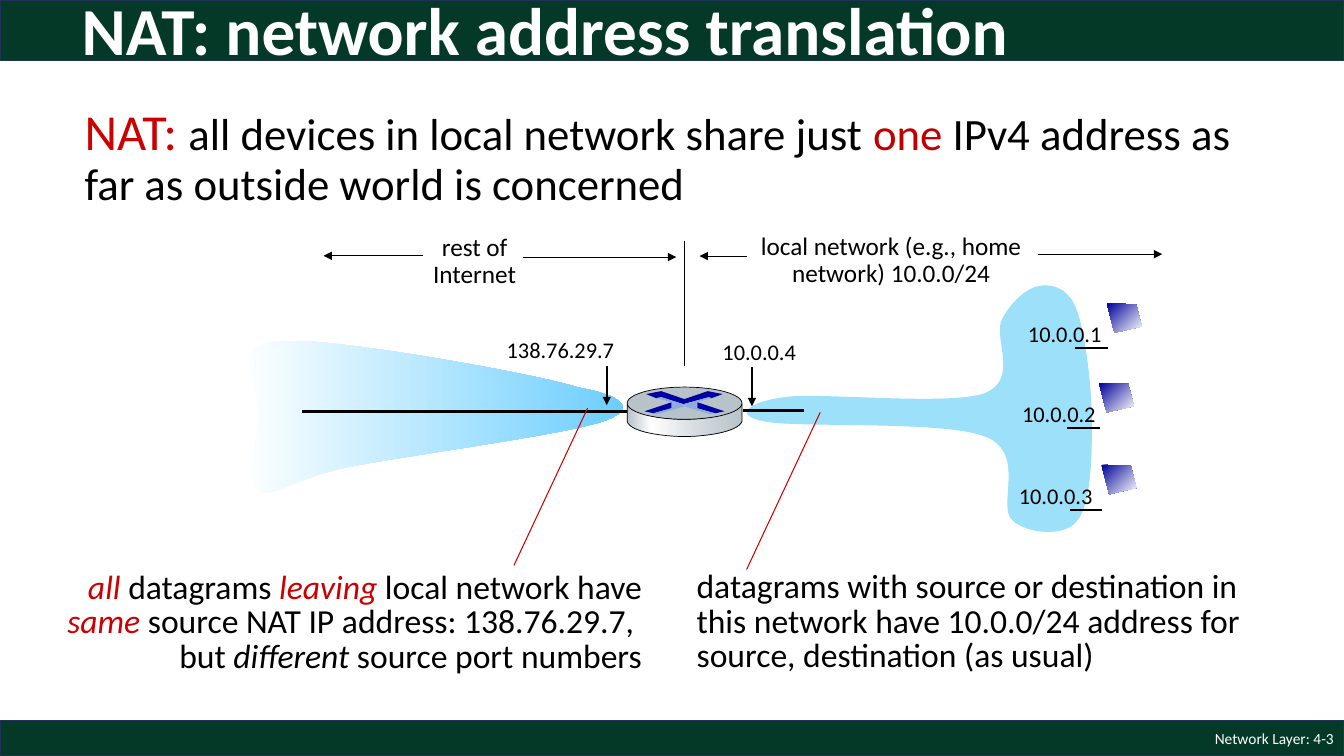
from dataclasses import dataclass

from lxml import etree
from pptx import Presentation
from pptx.dml.color import RGBColor
from pptx.enum.shapes import MSO_CONNECTOR, MSO_SHAPE
from pptx.enum.text import MSO_ANCHOR, MSO_AUTO_SIZE, PP_ALIGN
from pptx.oxml.ns import qn
from pptx.util import Pt

LEFT, CENTER, RIGHT = PP_ALIGN.LEFT, PP_ALIGN.CENTER, PP_ALIGN.RIGHT
MIDDLE, TOP = MSO_ANCHOR.MIDDLE, MSO_ANCHOR.TOP
GROW, FIXED = MSO_AUTO_SIZE.SHAPE_TO_FIT_TEXT, MSO_AUTO_SIZE.NONE
RECT, OVAL = MSO_SHAPE.RECTANGLE, MSO_SHAPE.OVAL
STRAIGHT = MSO_CONNECTOR.STRAIGHT


@dataclass(frozen=True)
class Theme:
    font: str = "Calibri"
    bar: str = "043927"
    edge: str = "1E3256"
    white: str = "FFFFFF"
    ink: str = "000000"
    red: str = "CC0000"
    dark_red: str = "C00000"
    sky: str = "9CE0FA"
    blue: str = "66CCFF"
    navy: str = "000099"
    arrow: str = "0000A3"
    pale: str = "8FAADC"
    metal: str = "B8C2C9"
    shine: str = "D6DCE0"
    title: int = 48
    lead: int = 36
    body: int = 32
    note: int = 24
    label: int = 18
    addr: int = 16
    foot: int = 11


T = Theme()

LOCAL = [(38.2, 80.7), (64, 77, 154, 87, 181, 78),
         (207, 68, 186.5, 37.5, 194, 24.5), (201, 11.5, 213, 1.5, 222, 1),
         (230.5, 0, 242, 3, 247.5, 19.5), (253.5, 36, 258, 75, 258, 100),
         (258, 125.5, 257, 157.5, 247.5, 169),
         (238.5, 181, 211.5, 178.5, 201, 168.5),
         (190, 158.5, 211.5, 120.5, 182, 109),
         (152.5, 97, 47.5, 103, 24, 98), (0, 93.5, 13.5, 84, 38.2, 80.7)]
OUTER = [(244, 38), (216.5, 29.5, 134.5, 15, 96.5, 10),
         (58, 5, 28, 1, 14.5, 8.5), (0.5, 16, 15, 39.5, 15, 57),
         (15, 74, 4, 105, 14.5, 111.5), (25, 117.5, 38, 103, 79, 94.5),
         (120, 86.5, 232.5, 71.5, 260.5, 62), (288, 52.5, 272, 43, 244, 38)]
SIDE = [(82, 12.2), (82, 24.5), (79, 32.4, 54.5, 35.3, 41, 35.3),
        (27.2, 35.3, 2, 32.4, 0, 24.5), (0, 12.2),
        (3.5, 19.4, 26.5, 23, 40.5, 23), (54, 23, 78, 20, 82, 12.2)]
VEE = [(57.5, 2.9), (68.2, 5), (60.3, 7.9), (58.2, 7.2), (40.2, 12.2),
       (24.3, 7.2), (20.7, 7.9), (13.5, 5), (24.3, 2.9), (40.9, 8.6)]
WING = [(31.9, 10.8), (31.9, 15.1), (19, 18.7), (12.4, 17.3)]
CROSS = [(20.7, 7.9), (24.3, 7.2), (40.2, 12.2), (58.2, 7.2), (60.3, 7.9),
         (49.5, 10.8), (49.5, 15.1), (62.5, 18.7), (58.9, 19.4),
         (40.9, 13.7), (21.5, 19.4), (18.6, 18.7), (31.5, 15.1), (31.5, 10.8)]
HOST = [(0, 0), (20.9, 0.7), (25, 16.5), (5.5, 21)]


def rgb(color):
    return RGBColor.from_string(color)


def place(box, x, y, w=0, h=0):
    return box[0] + x, box[1] + y, w, h


def paint(shape, fill, edge=None, width=0.5, angle=0):
    shape.shadow.inherit = False
    if isinstance(fill, str):
        shape.fill.solid()
        shape.fill.fore_color.rgb = rgb(fill)
    else:
        shape.fill.gradient()
        shape.fill.gradient_angle = angle
        stops = shape._element.spPr.find(qn("a:gradFill")).find(qn("a:gsLst"))
        stops.clear()
        for pos, color in fill:
            stop = etree.SubElement(stops, qn("a:gs"), pos=str(pos * 1000))
            etree.SubElement(stop, qn("a:srgbClr"), val=color)
    if edge:
        shape.line.color.rgb = rgb(edge)
        shape.line.width = Pt(width)
    else:
        shape.line.fill.background()


def solid(slide, kind, box, fill, edge, width):
    shape = slide.shapes.add_shape(kind, *map(Pt, box))
    paint(shape, fill, edge, width)


def bend(shape, steps):
    legs = iter(list(shape._element.iter(qn("a:lnTo"))))
    for step in steps[1:]:
        leg = next(legs)
        if len(step) == 6:
            leg.tag = qn("a:cubicBezTo")
            for _ in range(2):
                extra = next(legs)
                leg.append(extra[0])
                extra.getparent().remove(extra)


def free(slide, box, steps, fill, edge=None, angle=0):
    pts = [(Pt(box[0] + step[i]), Pt(box[1] + step[i + 1]))
           for step in steps for i in range(0, len(step), 2)]
    form = slide.shapes.build_freeform(*pts[0], scale=1.0)
    form.add_line_segments(pts[1:], close=True)
    shape = form.convert_to_shape()
    bend(shape, steps)
    paint(shape, fill, edge, angle=angle)


def line(slide, box, start, end, color=T.ink, width=0.75, tip=False):
    ends = [Pt(box[i] + pt[i]) for pt in (start, end) for i in (0, 1)]
    link = slide.shapes.add_connector(STRAIGHT, *ends)
    link.line.color.rgb = rgb(color)
    link.line.width = Pt(width)
    props = link._element.spPr
    if tip:
        etree.SubElement(props.find(qn("a:ln")), qn("a:tailEnd"), type="triangle")
    etree.SubElement(props, qn("a:effectLst"))


def text(slide, box, paras, size, color=T.ink, align=LEFT, space=None,
         wrap=True, anchor=TOP, fit=GROW, bold=None, margin=0):
    frame = slide.shapes.add_textbox(*map(Pt, box)).text_frame
    frame.word_wrap = wrap
    frame.auto_size = fit
    frame.vertical_anchor = anchor
    for i, runs in enumerate(paras):
        para = frame.add_paragraph() if i else frame.paragraphs[0]
        para.alignment = align
        para.line_spacing = space
        if margin:
            para._p.get_or_add_pPr().set("marL", str(Pt(margin)))
        para.font.name = T.font
        para.font.size = Pt(size)
        para.font.bold = bold
        para.font.color.rgb = rgb(color)
        for words, style in runs:
            run = para.add_run()
            run.text = words
            if "color" in style:
                run.font.color.rgb = rgb(style["color"])
            if "size" in style:
                run.font.size = Pt(style["size"])
            if "italic" in style:
                run.font.italic = style["italic"]


def plain(*rows):
    return [[(row, {})] for row in rows]


def bars(slide, box):
    wide, high = box[2:]
    solid(slide, RECT, place(box, 0, high - 25.2, wide, 25.2), T.bar, T.edge, 1)
    solid(slide, RECT, place(box, 0, 0, wide, 43.2), T.bar, T.edge, 1)
    text(slide, place(box, 51.3, -18, 828, 84), plain("NAT: network address translation"),
         T.title, T.white, space=0.9, anchor=MIDDLE, fit=FIXED, bold=True)
    text(slide, place(box, wide - 216, high - 25.2, 216, 25.2),
         plain("Network Layer: 4-3"), T.foot, T.white, RIGHT,
         anchor=MIDDLE, fit=FIXED)


def intro(slide, box):
    runs = [("NAT: ", {"color": T.red, "size": T.lead}),
            ("all devices in local network share just ", {}),
            ("one", {"color": T.dark_red}),
            (" IPv4 address as far as outside world is concerned", {})]
    text(slide, box, [runs], T.body, space=0.9, margin=18.7)


def host(slide, box, name, left):
    text(slide, place(box, left, 8.5, 67.7, 28.1), plain(name), T.addr, wrap=False)
    free(slide, box, HOST, [(0, T.navy), (100, T.white)], angle=315)
    line(slide, box, (-22.5, 32), (0.5, 32), width=1.5)


def home(slide, box):
    free(slide, place(box, 22, 43), LOCAL, T.sky)
    text(slide, place(box, 26, 3.4, 221, 44.6),
         plain("local network (e.g., home network) 10.0.0/24"),
         T.label, align=CENTER, space=0.9)
    line(slide, box, (241.6, 21.6), (330.2, 21.6), tip=True)
    line(slide, box, (33.5, 22.9), (-0.3, 22.9), tip=True)
    text(slide, place(box, 9, 77.8, 67.7, 28.1), plain("10.0.0.4"), T.addr, wrap=False)
    line(slide, box, (37.1, 102.1), (37.1, 130.2), width=1.5, tip=True)
    line(slide, box, (30.6, 133), (74.6, 133), width=2)
    hosts = [(290.6, 56.7, -63.4), (285, 113.6, -62), (286.8, 172, -66.1)]
    for i, (x, y, left) in enumerate(hosts, 1):
        host(slide, place(box, x, y), f"10.0.0.{i}", left)


def outside(slide, box):
    free(slide, place(box, 0, 79), OUTER, [(0, T.white), (100, T.blue)])
    text(slide, place(box, 184.8, 76.9, 92.2, 28.1), plain("138.76.29.7"),
         T.addr, wrap=False)
    line(slide, box, (263.4, 101.4), (263.4, 129.4), width=1.5, tip=True)
    line(slide, box, (203.9, 23.6), (313.1, 23.6), tip=True)
    line(slide, box, (132.4, 22.7), (61.1, 22.7), tip=True)
    text(slide, place(box, 131.6, 4.2, 74.9, 48.2), plain("rest of", "Internet"),
         T.label, align=CENTER, space=0.9, wrap=False)
    line(slide, box, (46, 133.8), (277.8, 133.8), width=2)


def router(slide, box):
    line(slide, box, (40.7, 0), (40.7, 89.2))
    body = place(box, 0, 104.5, box[2], 23)
    shades = [(0, T.metal), (21, T.white), (60, T.shine), (100, T.metal)]
    free(slide, body, SIDE, shades, T.ink)
    solid(slide, OVAL, body, T.metal, T.ink, 0.5)
    mirror = [(box[2] - x, y) for x, y in WING]
    for steps in (VEE, mirror, WING):
        free(slide, body, steps, T.arrow)
    free(slide, body, CROSS, T.pale)


def note(slide, box, runs, align, foot):
    text(slide, box, [runs], T.note, align=align, space=0.85)
    x, y = foot
    line(slide, box, foot, (x + 52.6, y - 112.3), T.red)


def main():
    deck = Presentation()
    deck.slide_width, deck.slide_height = Pt(960), Pt(540)
    slide = deck.slides.add_slide(deck.slide_layouts[6])
    bars(slide, (0, 0, 960, 540))
    home(slide, (500, 160, 340, 225))
    outside(slide, (170, 160, 314, 200))
    router(slide, (448, 172, 82, 140))
    note(slide, (490.5, 404.6, 431.3, 81.4),
         [("datagrams with source or destination in this network have "
           "10.0.0/24 address for source, destination (as usual)", {})],
         LEFT, (42.8, 2.2))
    accent = {"color": T.red, "italic": True}
    note(slide, (30, 405.1, 435.6, 81.4),
         [("all ", accent), ("datagrams ", {}), ("leaving", accent),
          (" local network have ", {}), ("same", accent),
          (" source NAT IP address: 138.76.29.7,  but ", {}),
          ("different", {"italic": True}), (" source port numbers", {})],
         RIGHT, (337.1, -1.2))
    intro(slide, (34.6, 72.9, 876.2, 81.4))
    deck.save("out.pptx")


if __name__ == "__main__":
    main()
